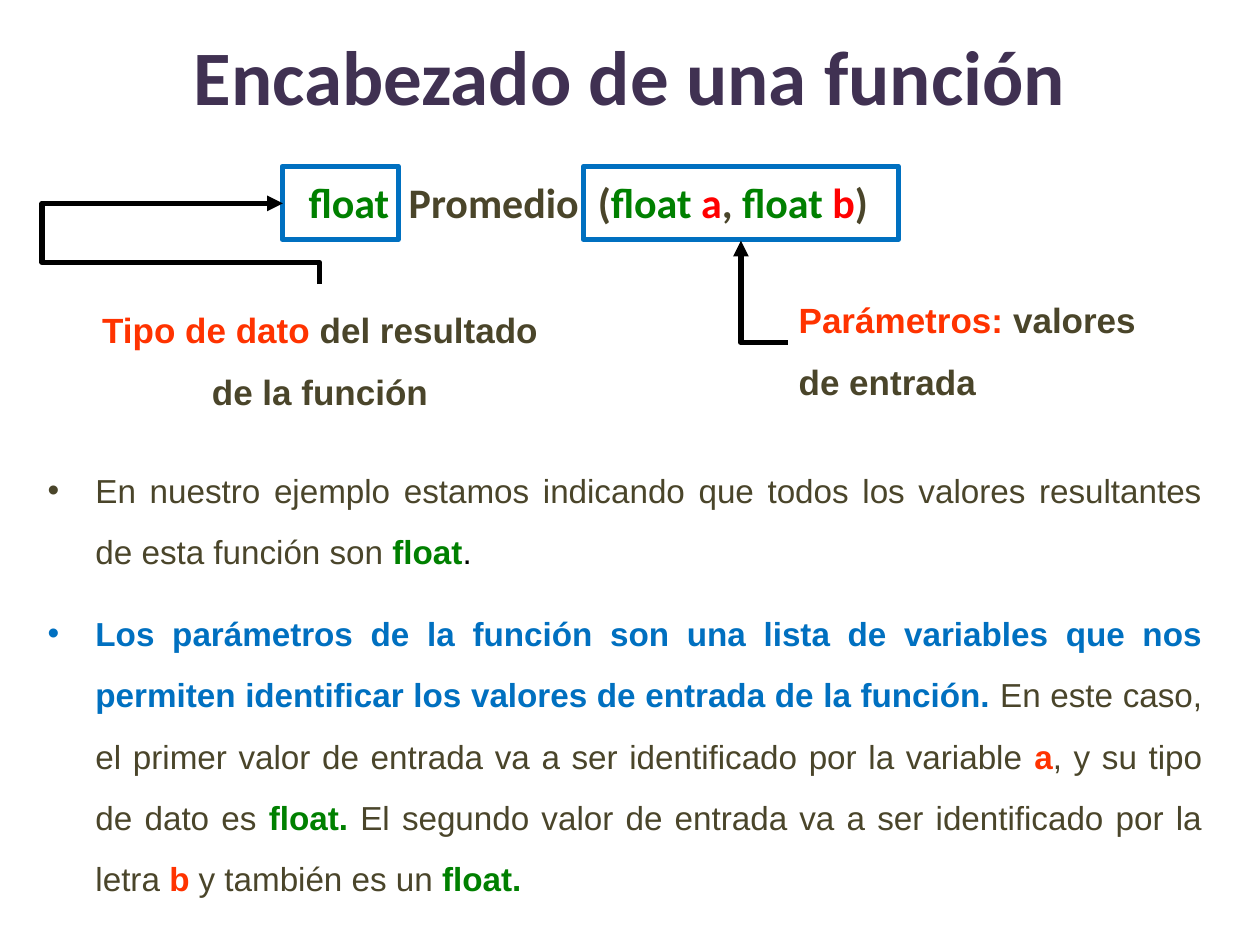
from lxml import etree
from pptx import Presentation
from pptx.dml.color import RGBColor
from pptx.enum import shapes as sh, text as tx
from pptx.oxml.ns import qn
from pptx.util import Inches, Pt

PURPLE = RGBColor(0x40, 0x31, 0x52)
BROWN = RGBColor(0x4A, 0x45, 0x2A)
GREEN = RGBColor(0x00, 0x80, 0x00)
BLUE = RGBColor(0x00, 0x70, 0xC0)
ORANGE = RGBColor(0xFF, 0x33, 0x00)
RED = RGBColor(0xFF, 0x00, 0x00)
BLACK = RGBColor(0x00, 0x00, 0x00)
LEFT, MID, JUST = (tx.PP_ALIGN.LEFT, tx.PP_ALIGN.CENTER,
                   tx.PP_ALIGN.JUSTIFY)


def place(item, x, y, w, h):
    item.left, item.top = Inches(x), Inches(y)
    item.width, item.height = Inches(w), Inches(h)


def write(par, words, color, size=20, font="Arial", bold=True, gap=0):
    """Add a run; gap is extra letter spacing in points."""
    run = par.add_run()
    run.text = words
    run.font.size, run.font.name, run.font.bold = Pt(size), font, bold
    run.font.color.rgb = color
    if gap:
        run._r.get_or_add_rPr().set("spc", str(int(gap * 100)))


def add_box(slide, x, y, w, h, anchor=tx.MSO_ANCHOR.TOP):
    frame = slide.shapes.add_textbox(
        Inches(x), Inches(y), Inches(w), Inches(h)).text_frame
    frame.word_wrap = True
    frame.vertical_anchor = anchor
    return frame


def add_note(slide, x, y, w, align, lead, rest):
    par = add_box(slide, x, y, w, 1.08).paragraphs[0]
    par.alignment, par.line_spacing = align, Pt(35)
    write(par, lead, ORANGE)
    write(par, rest, BROWN)


def add_bullet(par, parts):
    par.alignment, par.line_spacing = JUST, Pt(35)
    par.space_before = Pt(12)
    props = par._p.get_or_add_pPr()
    props.set("marL", str(Inches(0.38)))
    props.set("indent", str(Inches(-0.38)))
    etree.SubElement(props, qn("a:buFont")).set("typeface", "Arial")
    etree.SubElement(props, qn("a:buChar")).set("char", "•")
    for words, color, bold in parts:
        write(par, words, color, size=19, bold=bold)


def add_frame(slide, x, w):
    rect = slide.shapes.add_shape(
        sh.MSO_SHAPE.RECTANGLE, Inches(x), Inches(1.32), Inches(w),
        Inches(0.58))
    rect.shadow.inherit = False
    rect.fill.background()
    rect.line.color.rgb, rect.line.width = BLUE, Pt(3)


def add_arrow(slide, x, y, w, h, kind, turn, flip=False, bends=()):
    """Add a bent arrow; its box is given before the turn in degrees."""
    link = slide.shapes.add_connector(
        sh.MSO_CONNECTOR.ELBOW, Inches(x), Inches(y), Inches(x + w),
        Inches(y + h))
    link.line.color.rgb, link.line.width = BLACK, Pt(3)
    props = link._element.spPr
    form = props.find(qn("a:xfrm"))
    form.set("rot", str(turn * 60000))
    if flip:
        form.set("flipV", "1")
    geom = props.find(qn("a:prstGeom"))
    geom.set("prst", kind)
    guides = geom.find(qn("a:avLst"))
    for num, bend in enumerate(bends, 1):
        guide = etree.SubElement(guides, qn("a:gd"))
        guide.set("name", f"adj{num}")
        guide.set("fmla", f"val {round(bend * 100000)}")
    tip = etree.SubElement(props.find(qn("a:ln")), qn("a:tailEnd"))
    tip.set("type", "triangle")
    etree.SubElement(props, qn("a:effectLst"))


def main():
    deck = Presentation()
    deck.slide_width, deck.slide_height = Inches(10), Inches(7.5)
    slide = deck.slides.add_slide(deck.slide_layouts[5])

    # Title
    title = slide.shapes.title
    place(title, 0.75, -0.03, 8.5, 1.25)
    title.text_frame.vertical_anchor = tx.MSO_ANCHOR.MIDDLE
    par = title.text_frame.paragraphs[0]
    par.alignment = MID
    write(par, "Encabezado de una función", PURPLE, size=44, font="Calibri")

    # Explanation
    body = add_box(slide, 0.28, 3.51, 9.36, 3.7)
    add_bullet(body.paragraphs[0], [
        ("En nuestro ejemplo estamos indicando que todos los valores "
         "resultantes de esta función son ", BROWN, False),
        ("float", GREEN, True),
        (". ", BLACK, False)])
    add_bullet(body.add_paragraph(), [
        ("Los parámetros de la función son una lista de variables que nos "
         "permiten identificar los valores de entrada de la función. ",
         BLUE, True),
        ("En este caso, el primer valor de entrada va a ser identificado "
         "por la variable ", BROWN, False),
        ("a", ORANGE, True),
        (", y su tipo de dato es ", BROWN, False),
        ("float.", GREEN, True),
        (" El segundo valor de entrada va a ser identificado por la letra ",
         BROWN, False),
        ("b ", ORANGE, True),
        ("y también es un ", BROWN, False),
        ("float.", GREEN, True)])

    # Function header, with wide spaces around the name
    par = add_box(slide, 2.35, 1.35, 5.08, 0.5,
                  tx.MSO_ANCHOR.MIDDLE).paragraphs[0]
    for words, color, gap in [
            ("float", GREEN, 0), (" ", GREEN, 5.7), ("Promedio", BROWN, 0),
            (" ", BROWN, 5.4), ("(", BROWN, 0), ("float ", GREEN, 0),
            ("a", RED, 0), (", ", BROWN, 0), ("float ", GREEN, 0),
            ("b", RED, 0), (")", BROWN, 0)]:
        write(par, words, color, size=24, font="Calibri", gap=gap)
    add_frame(slide, 2.24, 0.92)
    add_frame(slide, 4.63, 2.5)

    # Notes and their arrows
    add_note(slide, 0.58, 2.25, 3.92, MID,
             "Tipo de dato ", "del resultado de la función")
    add_note(slide, 6.24, 2.17, 3.25, LEFT,
             "Parámetros: ", "valores de entrada")
    add_arrow(slide, 5.88, 1.91, 0.37, 0.81, "bentConnector2", 180)
    add_arrow(slide, 2.07, 1.79, 0.64, 0.29, "bentConnector4", 270,
              flip=True, bends=(0.27, 7.59))

    deck.save("out.pptx")


if __name__ == "__main__":
    main()
